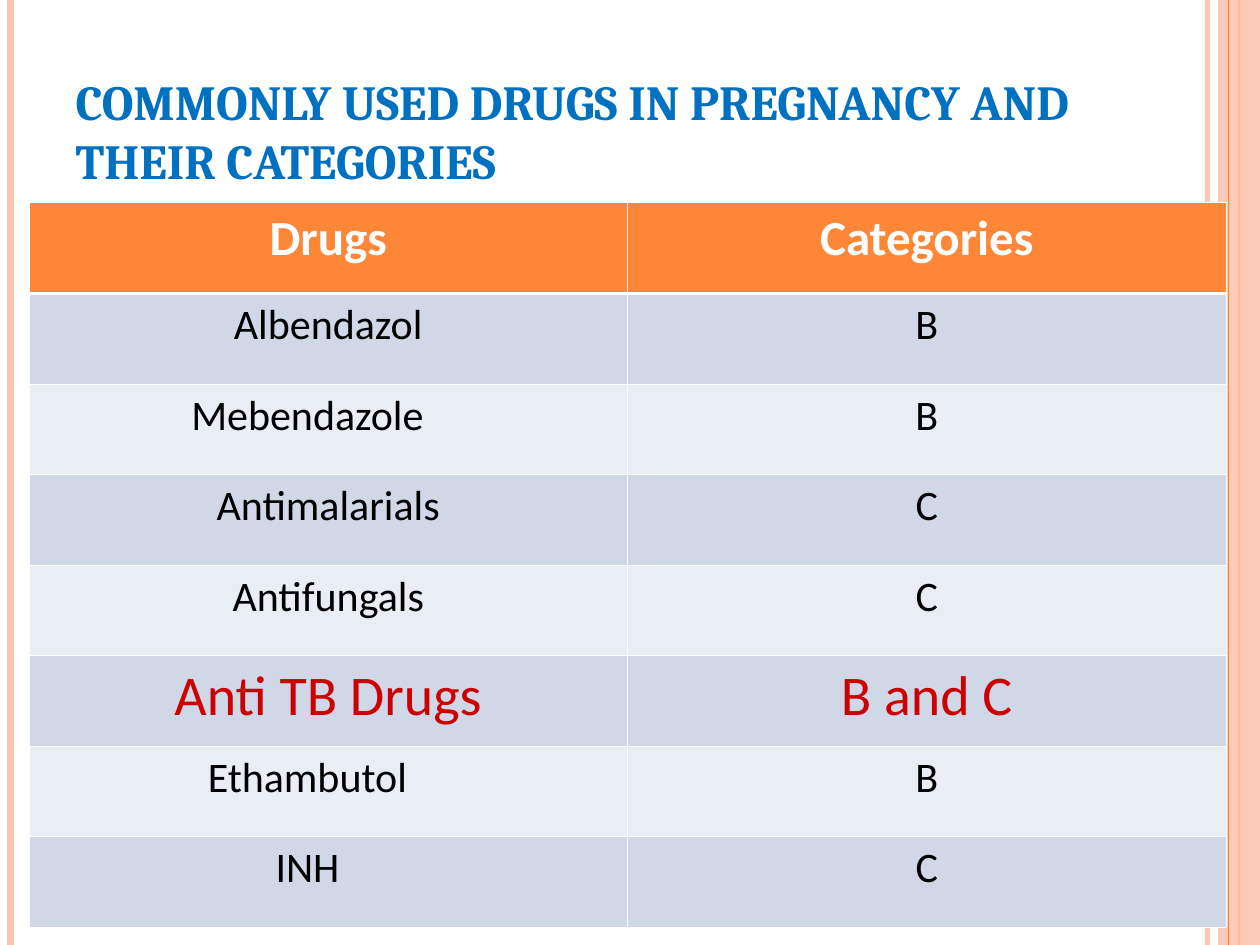
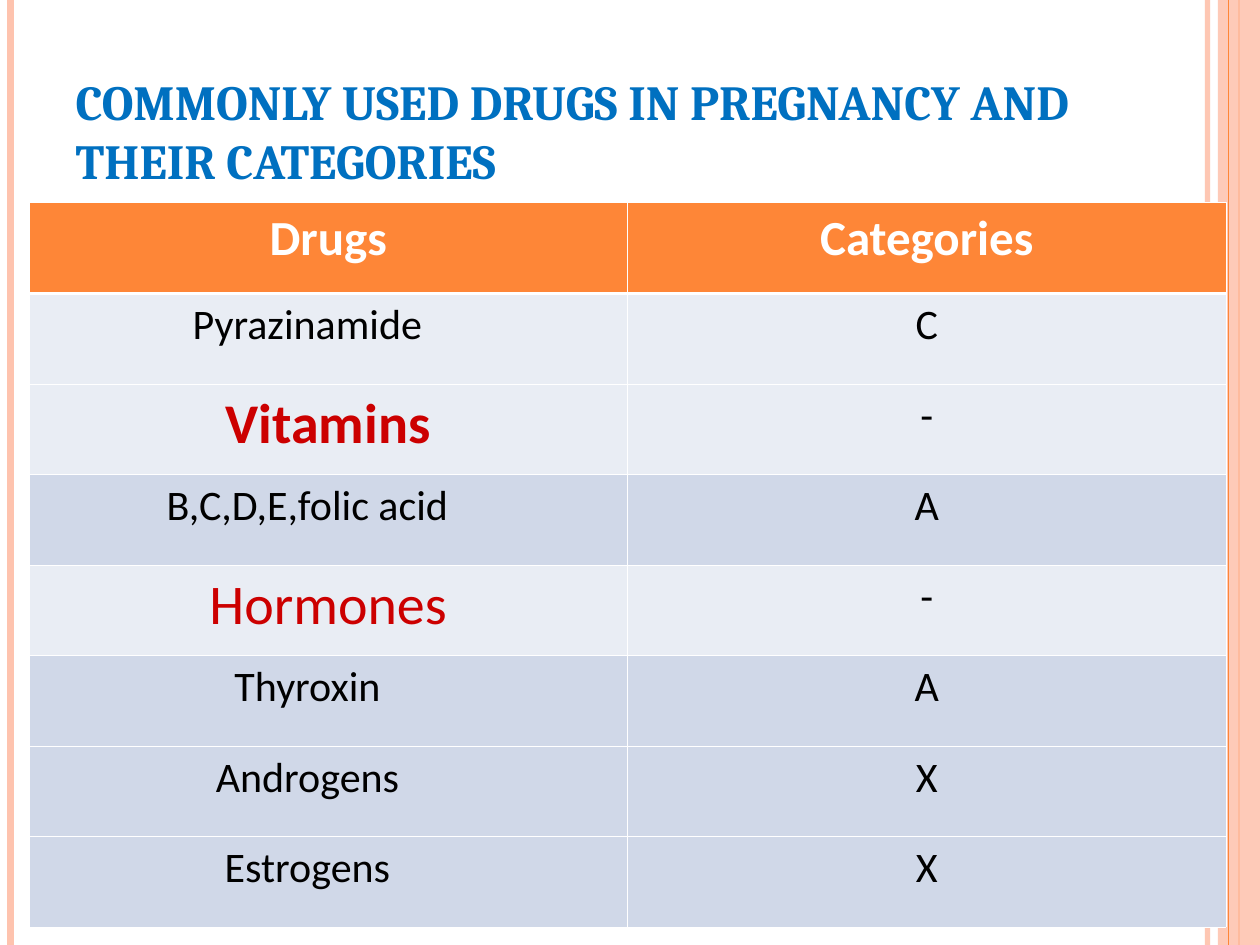
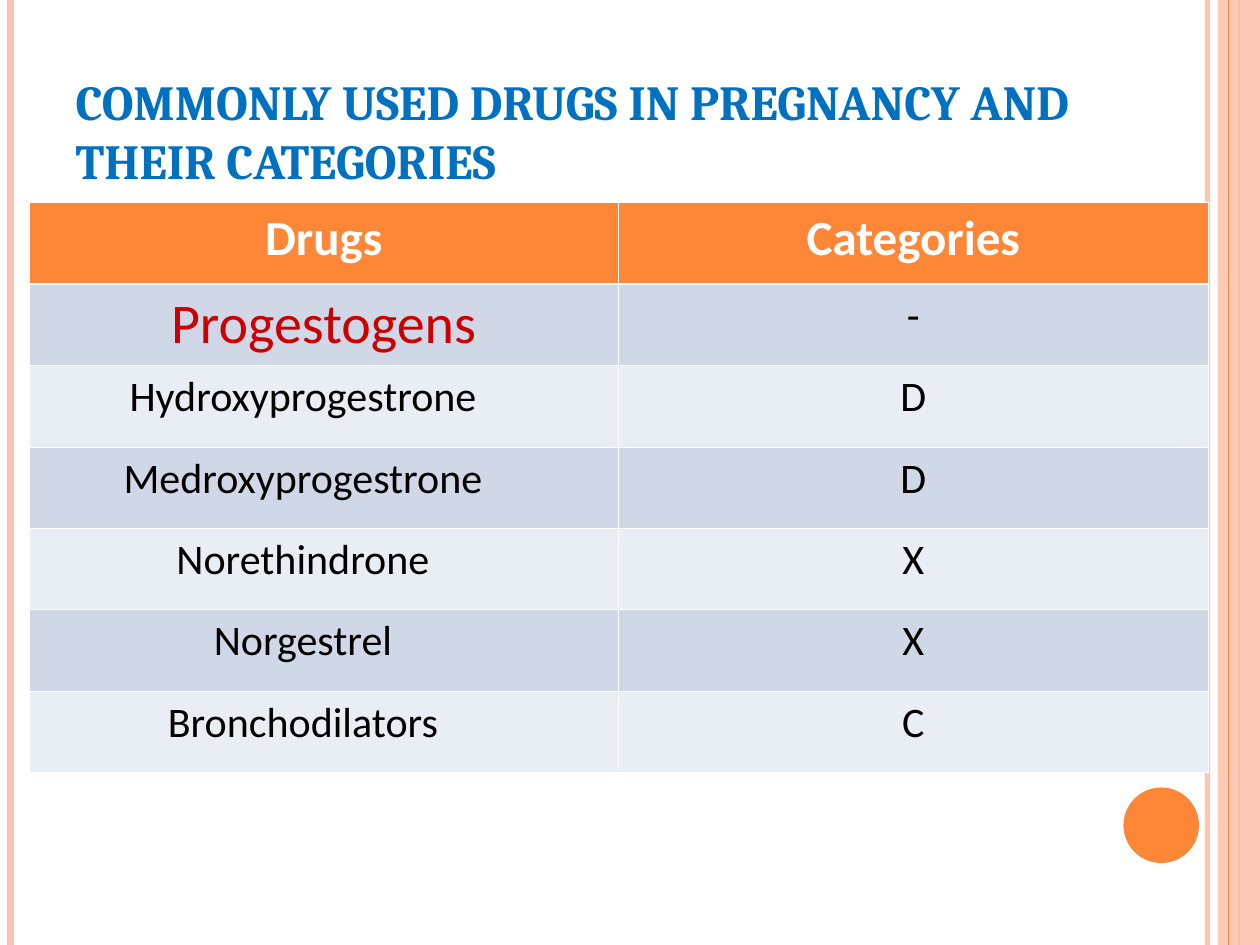
import lxml.etree
import pptx
import pptx.dml.color
import pptx.enum.shapes
import pptx.enum.text
import pptx.oxml.ns
import pptx.util

COLUMNS, ROWS = 120, 90
UNIT = pptx.util.Inches(10) // COLUMNS
COLORS = {
    "orange": "FE8637",
    "peach": "FEC3AE",
    "title": "0070C0",
    "dark": "D0D8E8",
    "light": "E9EDF4",
    "white": "FFFFFF",
    "black": "000000",
    "red": "CC0000",
}
TITLE = "COMMONLY USED DRUGS IN PREGNANCY AND THEIR CATEGORIES"
HEADER = ("Drugs", "Categories")
MARGIN, EM_SHIFT = 0.1, 0.33
LOOKS = {
    "header": {"size": 28, "color": "white", "bold": True},
    "plain": {"size": 24},
    "shifted": {"size": 24},
    "group": {"size": 32, "color": "red"},
    "bold group": {"size": 32, "color": "red", "bold": True},
}
ANTI_INFECTIVES = [
    ("dark", ("Albendazol", "plain"), ("B", "plain")),
    ("light", ("Mebendazole", "shifted"), ("B", "plain")),
    ("dark", ("Antimalarials", "plain"), ("C", "plain")),
    ("light", ("Antifungals", "plain"), ("C", "plain")),
    ("dark", ("Anti TB Drugs", "group"), ("B and C", "group")),
    ("light", ("Ethambutol", "shifted"), ("B", "plain")),
    ("dark", ("INH", "shifted"), ("C", "plain")),
]
VITAMINS_AND_HORMONES = [
    ("light", ("Pyrazinamide", "shifted"), ("C", "plain")),
    ("light", ("Vitamins", "bold group"), ("-", "plain")),
    ("dark", ("B,C,D,E,folic acid", "shifted"), ("A", "plain")),
    ("light", ("Hormones", "group"), ("-", "plain")),
    ("dark", ("Thyroxin", "shifted"), ("A", "plain")),
    ("dark", ("Androgens", "shifted"), ("X", "plain")),
    ("dark", ("Estrogens", "shifted"), ("X", "plain")),
]
PROGESTOGENS = [
    ("dark", ("Progestogens", "group"), ("-", "plain")),
    ("light", ("Hydroxyprogestrone", "shifted"), ("D", "plain")),
    ("dark", ("Medroxyprogestrone", "shifted"), ("D", "plain")),
    ("light", ("Norethindrone", "shifted"), ("X", "plain")),
    ("dark", ("Norgestrel", "shifted"), ("X", "plain")),
    ("light", ("Bronchodilators", "shifted"), ("C", "plain")),
]


def grid(*steps):
    """Turn grid steps into lengths."""
    return [pptx.util.Emu(round(step * UNIT)) for step in steps]


def rgb(name):
    """Look up a named colour."""
    return pptx.dml.color.RGBColor.from_string(COLORS[name])


def add_element(parent, tag, **attributes):
    """Append a DrawingML element with the given attributes."""
    element = lxml.etree.SubElement(parent, pptx.oxml.ns.qn(tag))
    for name, value in attributes.items():
        element.set(name, str(value))
    return element


def set_opacity(shape, percent):
    """Make the first solid colour of a shape partly transparent."""
    color = shape.element.spPr.find(".//" + pptx.oxml.ns.qn("a:srgbClr"))
    add_element(color, "a:alpha", val=percent * 1000)


def write_text(text_frame, text, size, color="black", bold=False, font="Calibri",
               align=pptx.enum.text.PP_ALIGN.CENTER):
    """Write one formatted paragraph."""
    text_frame.text = text
    paragraph = text_frame.paragraphs[0]
    paragraph.alignment = align
    run_font = paragraph.runs[0].font
    run_font.size = pptx.util.Pt(size)
    run_font.bold = bold
    run_font.name = font
    run_font.color.rgb = rgb(color)


def add_stripe(slide, column, color, width, opacity=100):
    """Draw a vertical line over the full height."""
    ends = grid(column, 0, column, ROWS)
    stripe = slide.shapes.add_connector(pptx.enum.shapes.MSO_CONNECTOR.STRAIGHT, *ends)
    stripe.line.color.rgb = rgb(color)
    stripe.line.width = pptx.util.Pt(width)
    add_element(stripe.element.spPr, "a:effectLst")
    if opacity < 100:
        set_opacity(stripe, opacity)
    return stripe


def add_filled(slide, kind, box, color, opacity=100):
    """Draw a preset shape without outline."""
    shape = slide.shapes.add_shape(kind, *grid(*box))
    shape.shadow.inherit = False
    shape.fill.solid()
    shape.fill.fore_color.rgb = rgb(color)
    shape.line.fill.background()
    if opacity < 100:
        set_opacity(shape, opacity)
    return shape


def decorate_layout(presentation, layout):
    """Give the layout its side stripes, band and circle."""
    for placeholder in list(layout.placeholders)[1:]:
        layout.shapes.element.remove(placeholder.element)
    slide = presentation.slides.add_slide(layout)
    shapes = pptx.enum.shapes.MSO_SHAPE
    decorations = [
        add_stripe(slide, 115, "peach", 3, opacity=93),
        add_stripe(slide, 1, "peach", 4.5),
        add_stripe(slide, 118, "orange", 1.5),
        add_filled(slide, shapes.RECTANGLE, (116, 0, 4, ROWS), "peach", opacity=87),
        add_stripe(slide, 117, "orange", 0.75),
        add_filled(slide, shapes.OVAL, (107, 75, 7.2, 7.2), "orange"),
    ]
    for shape in decorations:
        layout.shapes.element.append(shape.element)
    return slide


def set_title(slide):
    """Place and format the slide title."""
    title = slide.shapes.title
    title.left, title.top, title.width, title.height = grid(6, 3.6, 98, 15)
    title.text_frame.word_wrap = True
    title.text_frame.auto_size = pptx.enum.text.MSO_AUTO_SIZE.NONE
    title.text_frame.vertical_anchor = pptx.enum.text.MSO_ANCHOR.BOTTOM
    write_text(title.text_frame, TITLE, 28, color="title", bold=True, font="Cambria",
               align=pptx.enum.text.PP_ALIGN.LEFT)


def set_borders(cell, top=0.45, bottom=0.45):
    """Draw white borders around a cell."""
    properties = cell._tc.get_or_add_tcPr()
    for side, width in (("L", 0.45), ("R", 0.45), ("T", top), ("B", bottom)):
        line = add_element(properties, "a:ln" + side, w=pptx.util.Pt(width))
        add_element(add_element(line, "a:solidFill"), "a:srgbClr", val=COLORS["white"])


def fill_cell(cell, text, look, color, **borders):
    """Format one table cell and write its text."""
    set_borders(cell, **borders)
    cell.fill.solid()
    cell.fill.fore_color.rgb = rgb(color)
    shift = EM_SHIFT if look == "shifted" else 0
    cell.margin_right = pptx.util.Inches(MARGIN + shift)
    write_text(cell.text_frame, text, **LOOKS[look])


def add_drug_table(slide, drugs, width, height):
    """Add the table of drugs and their categories."""
    records = [("orange", *((label, "header") for label in HEADER)), *drugs]
    box = grid(2.76, 19.32, width, height)
    table = slide.shapes.add_table(len(records), len(HEADER), *box).table
    table.first_row = table.horz_banding = False
    for row, (color, *entries) in enumerate(records):
        borders = {0: {"bottom": 1.5}, 1: {"top": 1.5}}.get(row, {})
        for column, (text, look) in enumerate(entries):
            fill_cell(table.cell(row, column), text, look, color, **borders)


def main():
    """Build and save the three drug table slides."""
    presentation = pptx.Presentation()
    presentation.slide_width, presentation.slide_height = grid(COLUMNS, ROWS)
    layout = presentation.slide_layouts[5]
    slides = [decorate_layout(presentation, layout)]
    slides += [presentation.slides.add_slide(layout) for _ in range(2)]
    contents = [
        (ANTI_INFECTIVES, 114, 69),
        (VITAMINS_AND_HORMONES, 114, 69),
        (PROGESTOGENS, 112.3, 54.25),
    ]
    for slide, (drugs, width, height) in zip(slides, contents):
        set_title(slide)
        add_drug_table(slide, drugs, width, height)
    presentation.save("out.pptx")


if __name__ == "__main__":
    main()
